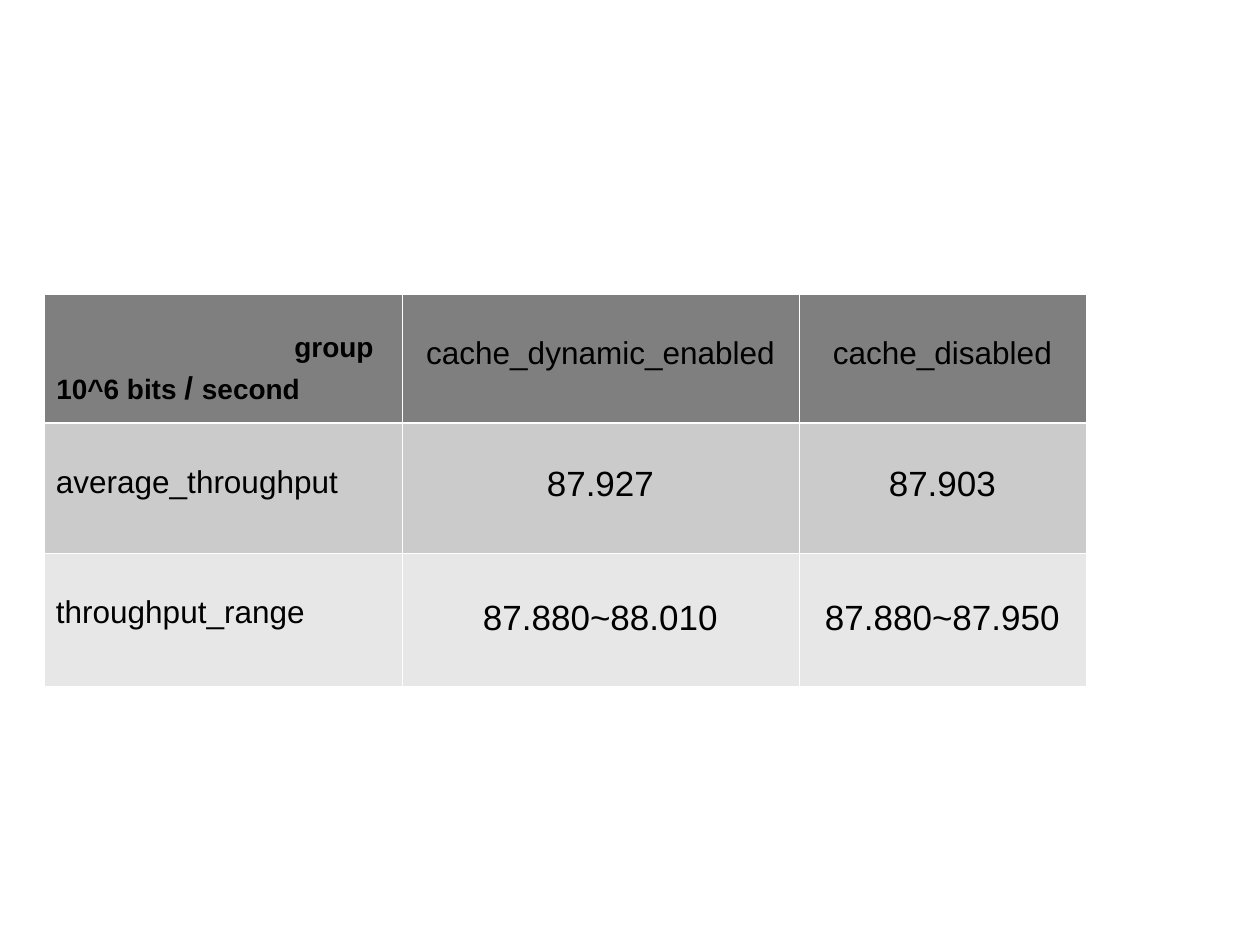
"""Build a slide with a table comparing throughput with and without caching."""
from dataclasses import dataclass

from lxml import etree
from pptx import Presentation
from pptx import util as u
from pptx.dml import color
from pptx.enum import text
from pptx.oxml import ns

PX = 914400 // 126


@dataclass(frozen=True)
class Theme:
    font: str = "Arial"
    ink: str = "000000"
    rule: str = "FFFFFF"
    row_fills: tuple = ("7F7F7F", "CBCBCB", "E7E7E7")
    axis_size: int = 16
    label_size: int = 18
    value_size: int = 20
    thin: float = 0.45
    thick: float = 1.47


class SlideBuilder:
    def __init__(self, slide, theme):
        self.slide = slide
        self.theme = theme

    def style(self, run, size, bold=False):
        run.font.name = self.theme.font
        run.font.size = u.Pt(size)
        run.font.bold = bold
        run.font.color.rgb = color.RGBColor.from_string(self.theme.ink)

    def border(self, cell, side, width):
        properties = cell._tc.get_or_add_tcPr()
        line = etree.SubElement(properties, ns.qn(f"a:ln{side}"), w=str(u.Pt(width)))
        fill = etree.SubElement(line, ns.qn("a:solidFill"))
        etree.SubElement(fill, ns.qn("a:srgbClr"), val=self.theme.rule)

    def cell(self, cell, wording, row, column):
        theme = self.theme
        widths = {"L": theme.thin, "R": theme.thin,
                  "T": theme.thick if row == 1 else theme.thin,
                  "B": theme.thick if row == 0 else theme.thin}
        for side, width in widths.items():
            self.border(cell, side, width)
        cell.fill.solid()
        cell.fill.fore_color.rgb = color.RGBColor.from_string(theme.row_fills[row])
        cell.margin_left = cell.margin_right = 12 * PX
        cell.margin_top = (46 if row == 2 and column else 42) * PX
        cell.margin_bottom = 6 * PX
        cell.text_frame.text = wording
        paragraph = cell.text_frame.paragraphs[0]
        paragraph.alignment = text.PP_ALIGN.CENTER if column else text.PP_ALIGN.LEFT
        size = theme.value_size if row and column else theme.label_size
        for run in paragraph.runs:
            self.style(run, size)

    def table(self, left, top, widths, heights, rows):
        table = self.slide.shapes.add_table(
            len(heights), len(widths), left * PX, top * PX,
            sum(widths) * PX, sum(heights) * PX).table
        table.first_row = table.horz_banding = False
        for column, width in zip(table.columns, widths):
            column.width = width * PX
        for row, height in zip(table.rows, heights):
            row.height = height * PX
        for r, row in enumerate(rows):
            for c, wording in enumerate(row):
                self.cell(table.cell(r, c), wording, r, c)

    def axis_label(self, left, top, width, height, pieces):
        frame = self.slide.shapes.add_textbox(
            left * PX, top * PX, width * PX, height * PX).text_frame
        frame.word_wrap = True
        frame.vertical_anchor = text.MSO_ANCHOR.MIDDLE
        for wording, size in pieces:
            run = frame.paragraphs[0].add_run()
            run.text = wording
            self.style(run, size, bold=True)


def main():
    deck = Presentation()
    deck.slide_width, deck.slide_height = u.Inches(10), u.Inches(7.5)
    theme = Theme()
    builder = SlideBuilder(deck.slides.add_slide(deck.slide_layouts[6]), theme)
    builder.table(44, 294, (358, 397, 287), (129, 130, 133), (
        ("", "cache_dynamic_enabled", "cache_disabled"),
        ("average_throughput", "87.927", "87.903"),
        ("throughput_range", "87.880~88.010", "87.880~87.950"),
    ))
    builder.axis_label(44, 360, 278, 54, (
        ("10^6 bits ", theme.axis_size),
        ("/ ", theme.label_size),
        ("second", theme.axis_size),
    ))
    builder.axis_label(282, 319, 129, 54, (("group", theme.axis_size),))
    deck.save("out.pptx")


if __name__ == "__main__":
    main()
